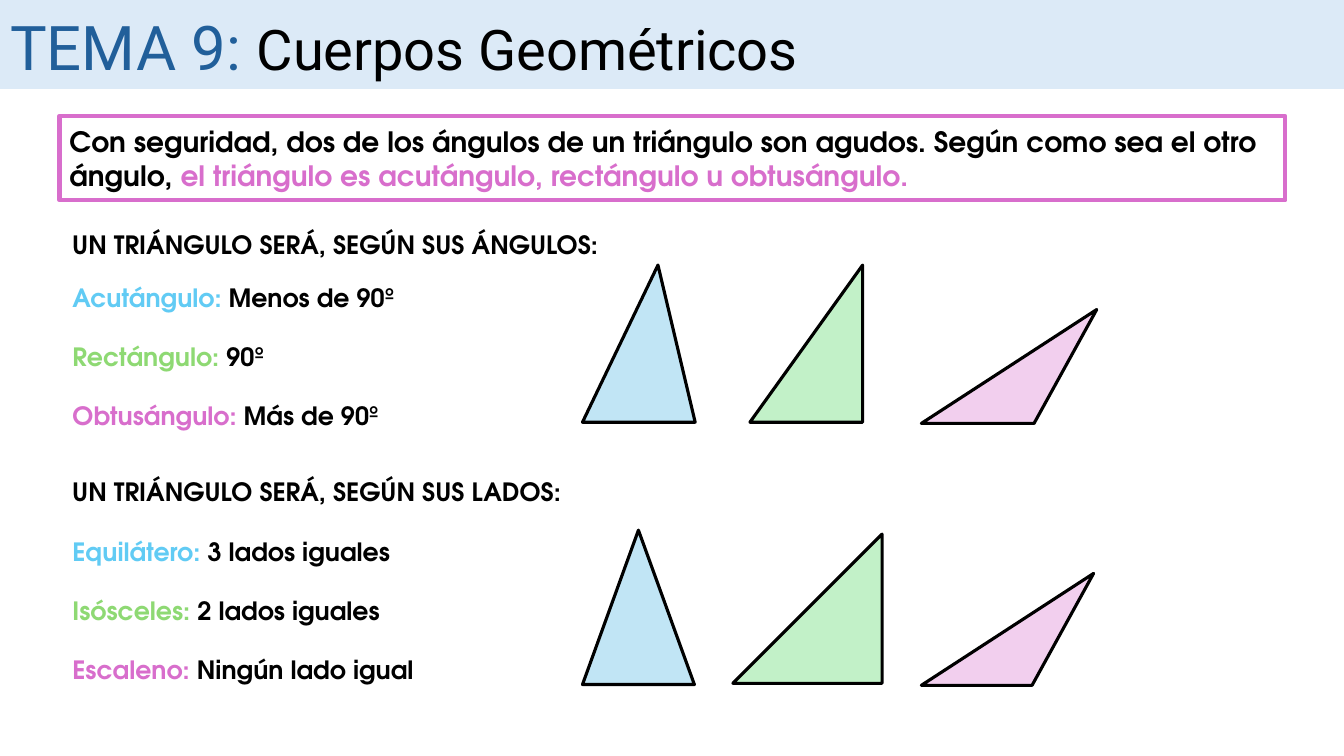
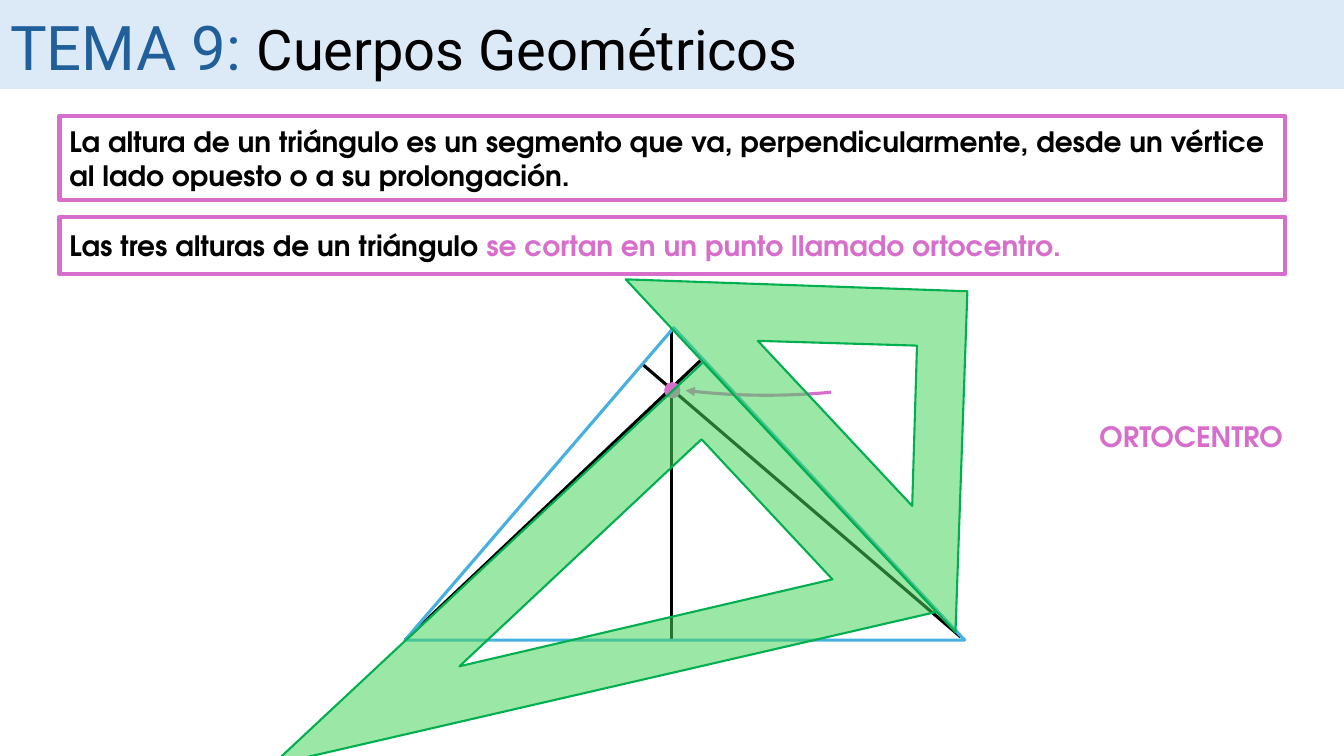
from dataclasses import dataclass

from lxml import etree
from pptx import Presentation
from pptx.dml.color import RGBColor
from pptx.enum.shapes import MSO_CONNECTOR, MSO_SHAPE
from pptx.enum.text import MSO_ANCHOR, MSO_AUTO_SIZE, PP_ALIGN
from pptx.oxml.ns import qn
from pptx.util import Cm, Pt

RECT, TRIANGLE = MSO_SHAPE.RECTANGLE, MSO_SHAPE.ISOSCELES_TRIANGLE
ARC, OVAL = MSO_SHAPE.ARC, MSO_SHAPE.OVAL
STRAIGHT = MSO_CONNECTOR.STRAIGHT
TOP, MIDDLE = MSO_ANCHOR.TOP, MSO_ANCHOR.MIDDLE
LEFT, CENTER = PP_ALIGN.LEFT, PP_ALIGN.CENTER
NO_FIT = MSO_AUTO_SIZE.NONE

COLORS = {
    "black": "000000", "navy": "215F9A", "band": "DCEAF7",
    "blue": "61CBF4", "green": "8ED973", "pink": "D86ECC",
    "pale_blue": "C1E5F5", "pale_green": "C2F1C8", "pale_pink": "F2CFEE",
    "outline": "46B1E1", "square": "47D45A", "square_edge": "00B050",
}
TITLE_FONT, BODY_FONT = "Roboto", "TeX Gyre Adventor"
SLIDE_W, SLIDE_H = 33.87, 19.05
FRAME_X, FRAME_W = 1.5, 30.89
TEXT_X = 1.57

Point = tuple[float, float]
Box = tuple[float, float, float, float]


@dataclass
class Kind:
    """One kind of triangle in a list."""
    name: str
    meaning: str
    color: str


@dataclass
class Peak:
    """A triangle given by its box and the position of its apex."""
    box: Box
    apex: float
    fill: str


@dataclass
class Family:
    """Heading, list and drawings of one classification."""
    heading: str
    heading_y: float
    list_y: float
    kinds: list[Kind]
    peaks: list[Peak]
    obtuse: list[Point]


FAMILIES = [
    Family("UN TRIÁNGULO SERÁ, SEGÚN SUS ÁNGULOS:", 5.66, 6.99,
           [Kind("Acutángulo: ", "Menos de 90º", "blue"),
            Kind("Rectángulo: ", "90º", "green"),
            Kind("Obtusángulo: ", "Más de 90º", "pink")],
           [Peak((14.68, 6.68, 2.84, 3.96), 0.67, "pale_blue"),
            Peak((18.9, 6.68, 2.84, 3.96), 1, "pale_green")],
           [(23.22, 10.67), (27.64, 7.8), (26.06, 10.67)]),
    Family("UN TRIÁNGULO SERÁ, SEGÚN SUS LADOS:", 11.89, 13.39,
           [Kind("Equilátero: ", "3 lados iguales", "blue"),
            Kind("Isósceles: ", "2 lados iguales", "green"),
            Kind("Escaleno: ", "Ningún lado igual", "pink")],
           [Peak((14.68, 13.36, 2.82, 3.89), 0.5, "pale_blue"),
            Peak((18.47, 13.46, 3.76, 3.76), 1, "pale_green")],
           [(23.22, 17.27), (27.56, 14.45), (26.01, 17.27)]),
]

HEIGHTS = [
    ((16.92, 8.26), (16.92, 16.13)),
    ((24.21, 16.05), (16.18, 9.17)),
    ((17.65, 9.09), (10.21, 16.13)),
]

# Each set square has an inner and an outer contour
SET_SQUARES = [
    [[(20.98, 14.6), (17.68, 11.07), (11.58, 16.79)],
     [(23.6, 15.42), (6.86, 19.28), (17.73, 9.12)]],
    [[(19.1, 8.59), (23.11, 8.71), (22.99, 12.75)],
     [(15.77, 7.04), (24.08, 15.93), (24.38, 7.34)]],
]


def rgb(name: str) -> RGBColor:
    return RGBColor.from_string(COLORS[name])


def cm(values) -> list:
    return [Cm(v) for v in values]


def add_run(p, text: str, *, size: float = 18, color: str = "black",
            font: str = BODY_FONT, bold: bool = True) -> None:
    r = p.add_run()
    r.text = text
    r.font.size, r.font.name, r.font.bold = Pt(size), font, bold
    r.font.color.rgb = rgb(color)


def setup_frame(tf, anchor=TOP) -> None:
    tf.word_wrap, tf.auto_size, tf.vertical_anchor = True, NO_FIT, anchor


def place(sp, box: Box) -> None:
    sp.left, sp.top, sp.width, sp.height = cm(box)


def paint(sp, *, fill: str | None = None, line: str | None = None,
          width: float = 2.25) -> None:
    sp.shadow.inherit = False
    if fill:
        sp.fill.solid()
        sp.fill.fore_color.rgb = rgb(fill)
    else:
        sp.fill.background()
    if line:
        sp.line.color.rgb = rgb(line)
        sp.line.width = Pt(width)
    else:
        sp.line.fill.background()


def add_shape(s, shape, box: Box, **style):
    sp = s.shapes.add_shape(shape, *cm(box))
    paint(sp, **style)
    return sp


def add_outline(s, contours: list[list[Point]], **style):
    """Closed polygons in a single outline."""
    first, *others = contours
    fb = s.shapes.build_freeform(*cm(first[0]), scale=1.0)
    fb.add_line_segments([cm(pt) for pt in first[1:]], close=True)
    for pts in others:
        fb.move_to(*cm(pts[0]))
        fb.add_line_segments([cm(pt) for pt in pts[1:]], close=True)
    sp = fb.convert_to_shape()
    paint(sp, **style)
    return sp


def add_triangle(s, box: Box, apex: float, **style) -> None:
    sp = add_shape(s, TRIANGLE, box, **style)
    sp.adjustments[0] = apex


def add_line(s, start: Point, end: Point) -> None:
    ln = s.shapes.add_connector(STRAIGHT, *cm(start), *cm(end))
    ln.line.color.rgb = rgb("black")
    ln.line.width = Pt(2.25)
    etree.SubElement(ln._element.spPr, qn("a:effectLst"))


def add_label(s, box: Box, text: str, *, align=LEFT, **fmt) -> None:
    tf = s.shapes.add_textbox(*cm(box)).text_frame
    setup_frame(tf)
    p = tf.paragraphs[0]
    p.alignment = align
    add_run(p, text, **fmt)


def add_framed_text(s, y: float, h: float, plain: str, accent: str = "") -> None:
    sp = add_shape(s, RECT, (FRAME_X, y, FRAME_W, h), line="pink", width=3)
    setup_frame(sp.text_frame, MIDDLE)
    p = sp.text_frame.paragraphs[0]
    p.alignment = LEFT
    add_run(p, plain, size=20)
    if accent:
        add_run(p, accent, size=20, color="pink")


def fill_list(sp, y: float, kinds: list[Kind]) -> None:
    place(sp, (TEXT_X, y, 10.64, 4))
    tf = sp.text_frame
    setup_frame(tf)
    for i, kind in enumerate(kinds):
        p = tf.add_paragraph() if i else tf.paragraphs[0]
        p.space_before = Pt(20.5 if i else 0)
        pPr = p._p.get_or_add_pPr()
        pPr.set("marL", "0")
        pPr.set("indent", "0")
        etree.SubElement(pPr, qn("a:buNone"))
        add_run(p, kind.name, color=kind.color)
        add_run(p, kind.meaning)


def new_slide(prs, layout: int):
    """Slide with the shared title band."""
    s = prs.slides.add_slide(prs.slide_layouts[layout])
    title = s.shapes.title
    place(title, (0, 0, SLIDE_W, 2.24))
    title.fill.solid()
    title.fill.fore_color.rgb = rgb("band")
    tf = title.text_frame
    setup_frame(tf)
    tf.margin_top = Cm(0.23)
    p = tf.paragraphs[0]
    p.alignment = LEFT
    add_run(p, "TEMA 9: ", size=44, color="navy", font=TITLE_FONT, bold=False)
    add_run(p, "Cuerpos Geométricos", size=40, font=TITLE_FONT, bold=False)
    return s


def build_kinds(prs) -> None:
    s = new_slide(prs, 3)
    add_framed_text(
        s, 2.92, 2.13,
        "Con seguridad, dos de los ángulos de un triángulo son agudos. "
        "Según como sea el otro ángulo, ",
        "el triángulo es acutángulo, rectángulo u obtusángulo.")
    for idx, family in enumerate(FAMILIES, start=1):
        add_label(s, (TEXT_X, family.heading_y, 15.9, 1.02), family.heading)
        fill_list(s.placeholders[idx], family.list_y, family.kinds)
        for peak in family.peaks:
            add_triangle(s, peak.box, peak.apex, fill=peak.fill, line="black")
        add_outline(s, [family.obtuse], fill="pale_pink", line="black")


def build_orthocenter(prs) -> None:
    s = new_slide(prs, 5)
    add_framed_text(
        s, 2.92, 2.13,
        "La altura de un triángulo es un segmento que va, perpendicularmente, "
        "desde un vértice al lado opuesto o a su prolongación.")
    add_framed_text(s, 5.46, 1.45, "Las tres alturas de un triángulo ",
                    "se cortan en un punto llamado ortocentro.")

    # Triangle and its heights
    for start, end in HEIGHTS:
        add_line(s, start, end)
    add_triangle(s, (10.21, 8.26, 14.1, 7.87), 0.48, line="outline")

    # Curved arrow, label and point
    arrow = add_shape(s, ARC, (1.93, -24.82, 34.78, 34.78), line="pink")
    for i, degrees in enumerate((84.64, 96.75)):
        arrow.adjustments[i] = degrees * 0.6
    ln = arrow._element.spPr.find(qn("a:ln"))
    etree.SubElement(ln, qn("a:tailEnd"), type="triangle")
    add_label(s, (26.82, 10.44, 6.4, 1.12), "ORTOCENTRO",
              align=CENTER, size=20, color="pink")
    add_shape(s, OVAL, (16.74, 9.63, 0.41, 0.41), fill="pink")

    # Translucent set squares
    for contours in SET_SQUARES:
        sp = add_outline(s, contours, fill="square", line="square_edge", width=1.5)
        color = sp._element.spPr.find(qn("a:solidFill"))[0]
        etree.SubElement(color, qn("a:alpha"), val="54000")


def main() -> None:
    prs = Presentation()
    prs.slide_width, prs.slide_height = Cm(SLIDE_W), Cm(SLIDE_H)
    build_kinds(prs)
    build_orthocenter(prs)
    prs.save("out.pptx")


if __name__ == "__main__":
    main()
